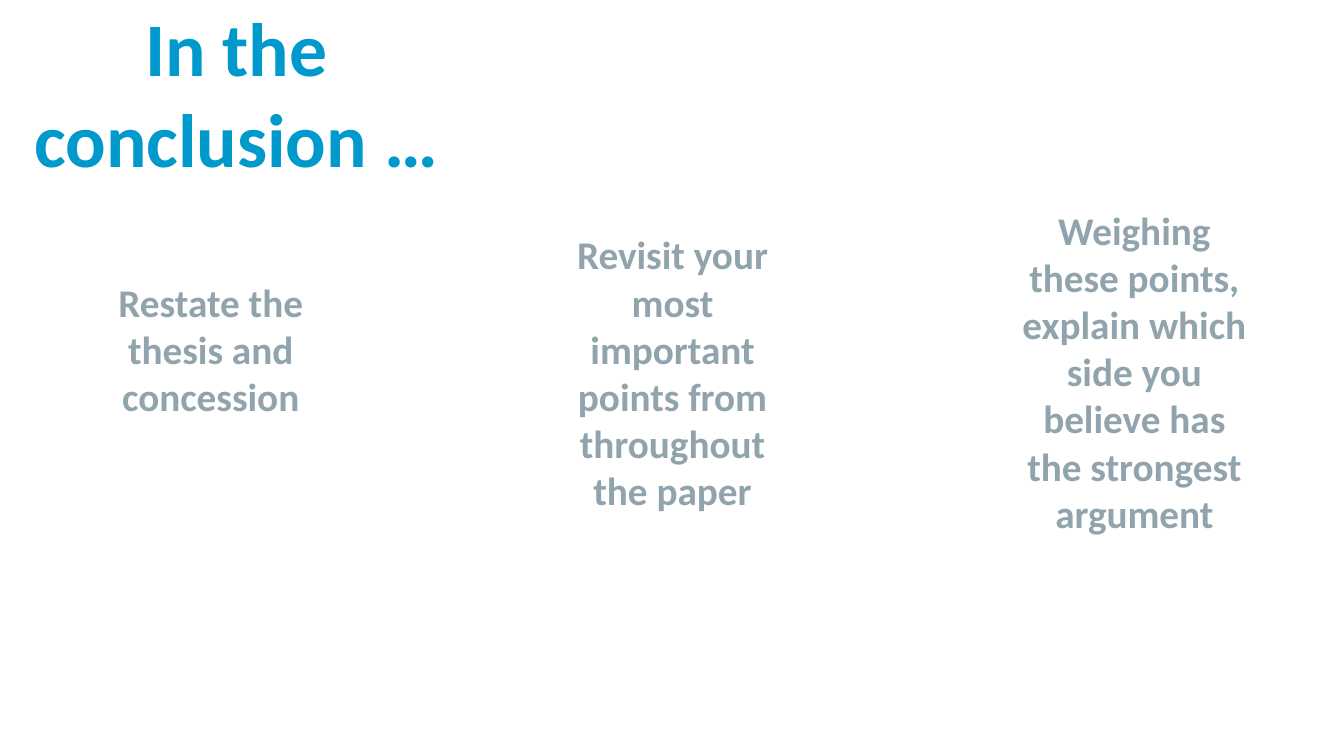
from pptx import Presentation
from pptx.dml.color import RGBColor
from pptx.enum.shapes import MSO_SHAPE
from pptx.enum.text import MSO_AUTO_SIZE, PP_ALIGN
from pptx.util import Inches, Pt

WHITE = RGBColor(0xFF, 0xFF, 0xFF)
BLUE = RGBColor(0x00, 0x99, 0xCC)
GREY = RGBColor(0x91, 0xA4, 0xAD)
FONT = "Calibri"
STEP = 4.58
POINTS = [
    ("Restate the thesis and concession", 2.71, 1.04),
    ("Revisit your most important points from throughout the paper", 2.24, 1.99),
    ("Weighing these points, explain which side you believe has "
     "the strongest argument", 2, 2.46),
]


def add_card(slide, left):
    card = slide.shapes.add_shape(
        MSO_SHAPE.RECTANGLE, Inches(left), Inches(1.01), Inches(3.42), Inches(5.49))
    card.shadow.inherit = False
    card.fill.solid()
    card.fill.fore_color.rgb = WHITE
    card.line.fill.background()


def add_text(slide, text, left, top, width, height, size=28, color=GREY):
    box = slide.shapes.add_textbox(
        Inches(left), Inches(top), Inches(width), Inches(height))
    frame = box.text_frame
    frame.word_wrap = True
    frame.auto_size = MSO_AUTO_SIZE.SHAPE_TO_FIT_TEXT
    para = frame.paragraphs[0]
    para.alignment = PP_ALIGN.CENTER
    run = para.add_run()
    run.text = text
    run.font.name = FONT
    run.font.size = Pt(size)
    run.font.bold = True
    run.font.color.rgb = color


def main():
    deck = Presentation()
    deck.slide_width = Inches(13.33)
    deck.slide_height = Inches(7.5)
    slide = deck.slides.add_slide(deck.slide_layouts[6])
    for col in (1, 2):
        add_card(slide, 0.38 + col * STEP)
    for col, (text, top, height) in enumerate(POINTS):
        add_text(slide, text, left=0.83 + col * STEP, top=top,
                 width=2.52, height=height)
    add_text(slide, "In the conclusion …", left=-0.17, top=-0.04,
             width=5.03, height=1.01, size=54, color=BLUE)
    deck.save("out.pptx")


if __name__ == "__main__":
    main()
